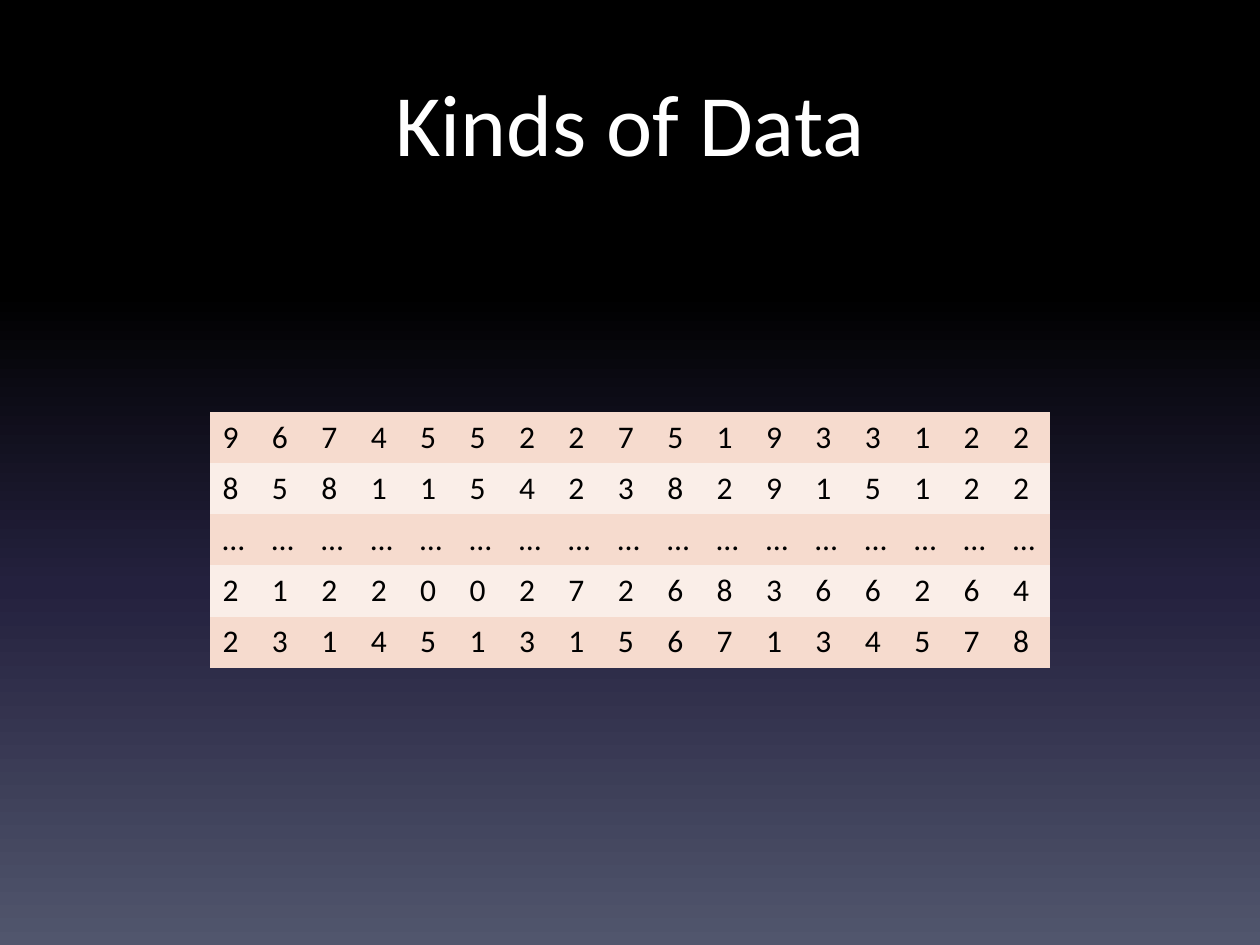
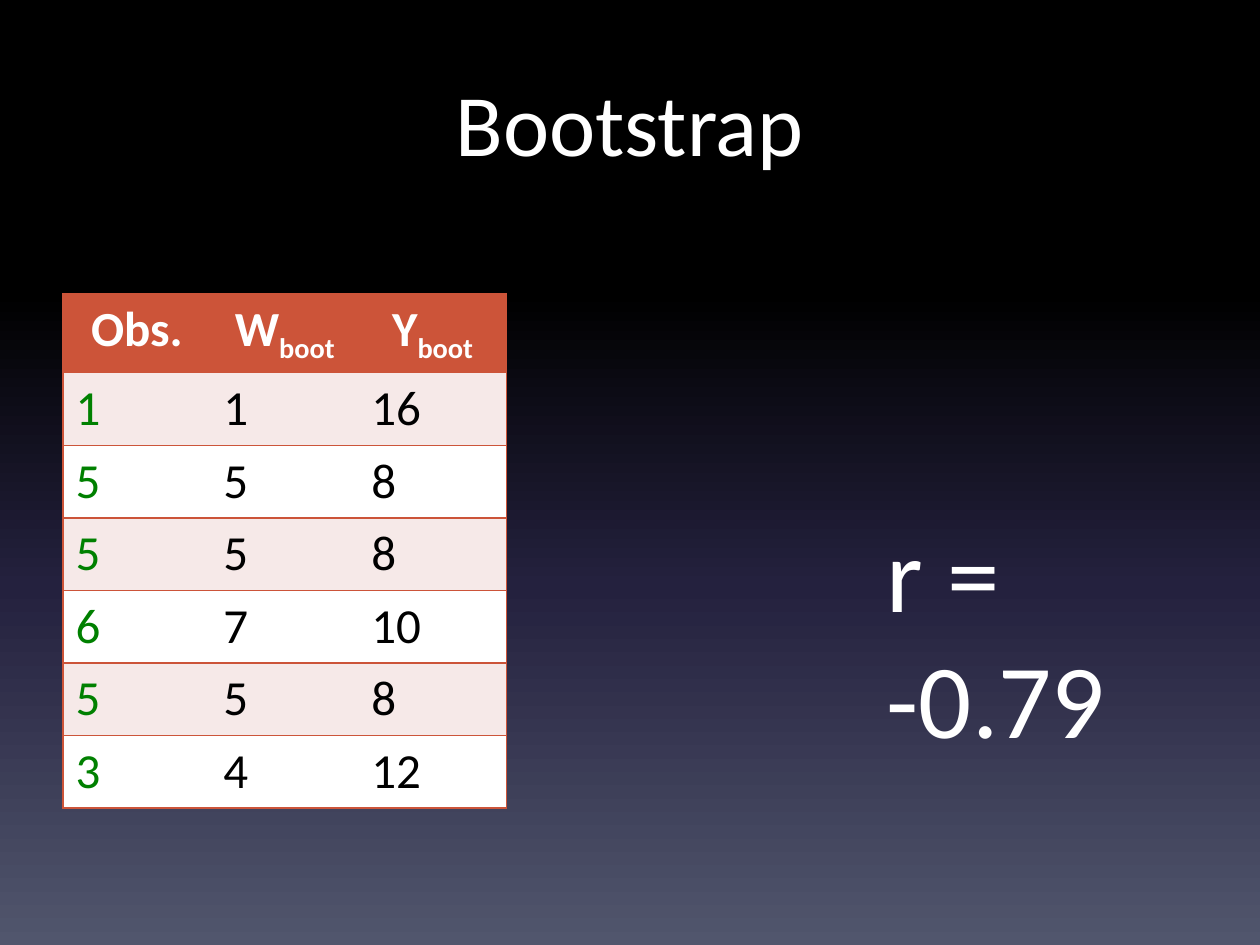
import copy

import pptx
import pptx.util
import pptx.dml.color
import pptx.enum.text
import pptx.oxml.ns
import lxml.etree

Pt = pptx.util.Pt
qn = pptx.oxml.ns.qn
ALIGN = pptx.enum.text.PP_ALIGN
ANCHOR = pptx.enum.text.MSO_ANCHOR

FONT = "Calibri"
PLAIN = "{2D5ABB26-0587-4C30-8999-92F81FD0307C}"  # no style, no grid
HEX = {
    "white": "FFFFFF", "black": "000000", "green": "008000",
    "rust": "CC5439", "peach": "F6DBCE", "cream": "FAEEE8", "blush": "F6E9E8",
    "night": "24213E", "slate": "51566D",
}
STOPS = [(0, "black"), (31, "black"), (62, "night"), (100, "slate")]

DIGITS = [
    "96745522751933122",
    "85811542382915122",
    "…" * 17,
    "21220027268366264",
    "23145131567134578",
]
HEADS = [("Obs.", ""), ("W", "boot"), ("Y", "boot")]
SAMPLE = [(1, 1, 16), (5, 5, 8), (5, 5, 8), (6, 7, 10), (5, 5, 8), (3, 4, 12)]


def color(name):
    return pptx.dml.color.RGBColor.from_string(HEX[name])


def style(par, size, hue, bold=False, align=None):
    par.font.name = FONT
    par.font.size = Pt(size)
    par.font.bold = bold
    par.font.color.rgb = color(hue)
    if align is not None:
        par.alignment = align


def place(shape, box):
    shape.left, shape.top, shape.width, shape.height = map(Pt, box)


def paint_back(master):
    """Give every slide the dark vertical gradient."""
    fill = master.background.fill
    fill.gradient()
    fill.gradient_angle = 270
    stops = master.element.find(".//" + qn("a:gsLst"))
    model = copy.deepcopy(stops[0])
    for stop in list(stops):
        stops.remove(stop)
    for _ in STOPS:
        stops.append(copy.deepcopy(model))
    for stop, (spot, hue) in zip(fill.gradient_stops, STOPS):
        stop.position = spot / 100
        stop.color.rgb = color(hue)


def add_slide(deck, title):
    slide = deck.slides.add_slide(deck.slide_layouts[5])
    head = slide.shapes.title
    place(head, (36, 36, 648, 90))
    head.text_frame.text = title
    head.text_frame.vertical_anchor = ANCHOR.TOP
    style(head.text_frame.paragraphs[0], 50, "white", align=ALIGN.CENTER)
    return slide


def add_grid(slide, box, rows, cols):
    """Add a table without style, ready for its own fills."""
    frame = slide.shapes.add_table(rows, cols, *map(Pt, box))
    frame.element.find(".//" + qn("a:tableStyleId")).text = PLAIN
    grid = frame.table
    grid.first_row = grid.horz_banding = False
    return grid


def fill_cell(cell, hue):
    cell.fill.solid()
    cell.fill.fore_color.rgb = color(hue)


def edge_cell(cell, sides, hue):
    """Draw one-point borders; sides come in the order L, R, T, B."""
    props = cell._tc.get_or_add_tcPr()
    for spot, side in enumerate(sides):
        line = lxml.etree.Element(qn("a:ln" + side), w=str(Pt(1)))
        solid = lxml.etree.SubElement(line, qn("a:solidFill"))
        lxml.etree.SubElement(solid, qn("a:srgbClr"), val=HEX[hue])
        props.insert(spot, line)


def draw_digits(slide, box):
    grid = add_grid(slide, box, len(DIGITS), len(DIGITS[0]))
    for r, line in enumerate(DIGITS):
        for c, sign in enumerate(line):
            cell = grid.cell(r, c)
            cell.text = sign
            style(cell.text_frame.paragraphs[0], 18, "black")
            fill_cell(cell, "cream" if r % 2 else "peach")


def draw_sample(slide, box):
    grid = add_grid(slide, box, len(SAMPLE) + 1, len(HEADS))
    last = len(HEADS) - 1
    for c, (name, sub) in enumerate(HEADS):
        cell = grid.cell(0, c)
        par = cell.text_frame.paragraphs[0]
        par.add_run().text = name
        if sub:
            low = par.add_run()
            low.text = sub
            low.font._element.set("baseline", "-25000")
        style(par, 28, "white", True, ALIGN.CENTER)
        fill_cell(cell, "rust")
        for r, row in enumerate(SAMPLE, 1):
            cell = grid.cell(r, c)
            cell.text = str(row[c])
            style(cell.text_frame.paragraphs[0], 28, "black" if c else "green")
            fill_cell(cell, "blush" if r % 2 else "white")
        sides = ("L" if c == 0 else "") + ("R" if c == last else "") + "TB"
        for r in range(len(SAMPLE) + 1):
            edge_cell(grid.cell(r, c), sides, "rust")


def draw_result(slide, box):
    frame = slide.shapes.add_textbox(*map(Pt, box)).text_frame
    frame.word_wrap = True
    frame.margin_right = Pt(30)
    frame.text = "r = -0.79"
    style(frame.paragraphs[0], 60, "white")


def main():
    deck = pptx.Presentation()
    deck.slide_width, deck.slide_height = Pt(720), Pt(540)
    paint_back(deck.slide_master)
    draw_digits(add_slide(deck, "Kinds of Data"), (120, 235.5, 480, 146))
    boot = add_slide(deck, "Bootstrap")
    draw_sample(boot, (36, 167.75, 253.5, 286))
    draw_result(boot, (499.7, 286.5, 215.3, 80))
    deck.save("out.pptx")


if __name__ == "__main__":
    main()
